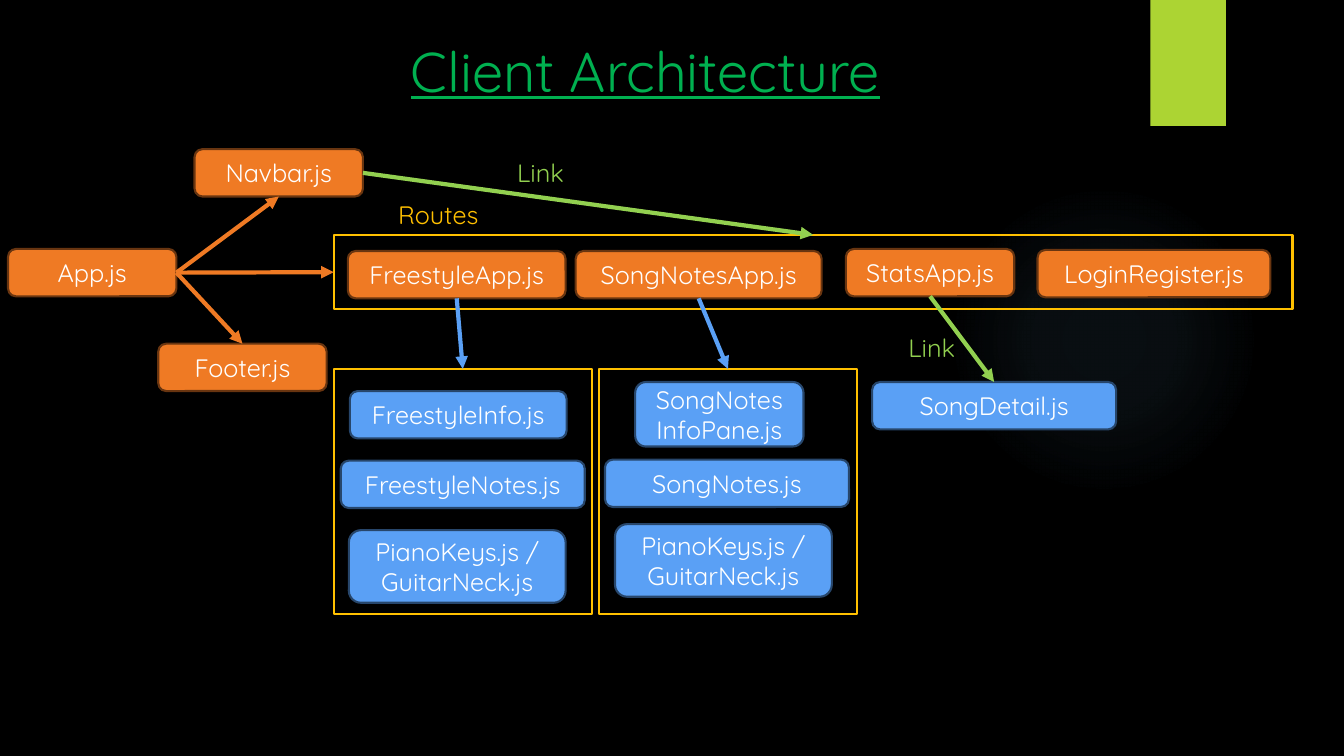
from lxml import etree
from pptx import Presentation
from pptx.dml.color import RGBColor
from pptx.enum.shapes import MSO_CONNECTOR, MSO_SHAPE
from pptx.enum.text import MSO_ANCHOR, PP_ALIGN
from pptx.oxml import parse_xml
from pptx.oxml.ns import nsdecls, qn
from pptx.util import Inches, Pt

BLACK = RGBColor(0x00, 0x00, 0x00)
WHITE = RGBColor(0xFF, 0xFF, 0xFF)
LIME = RGBColor(0xAC, 0xD4, 0x33)
ORANGE = RGBColor(0xEF, 0x7A, 0x24)
BROWN = RGBColor(0x69, 0x35, 0x10)
BLUE = RGBColor(0x5A, 0xA0, 0xF5)
NAVY = RGBColor(0x27, 0x46, 0x6B)
GOLD = RGBColor(0xFF, 0xC0, 0x00)
LIGHT_GREEN = RGBColor(0x92, 0xD0, 0x50)
GREEN = RGBColor(0x00, 0xB0, 0x50)
FONT = "Quicksand"
TOP, LEFT, BOTTOM, RIGHT = range(4)  # connection sites

prs = Presentation()
prs.slide_width, prs.slide_height = Inches(13.33), Inches(7.5)
s = prs.slides.add_slide(prs.slide_layouts[6])
s.background.fill.solid()
s.background.fill.fore_color.rgb = BLACK


def add_box(preset, at, fill=None, line=None):
    """Add a preset shape without shadow; no colour means no fill or line."""
    sp = s.shapes.add_shape(preset, *map(Inches, at))
    sp.shadow.inherit = False
    if fill is None:
        sp.fill.background()
    else:
        sp.fill.solid()
        sp.fill.fore_color.rgb = fill
    if line is None:
        sp.line.fill.background()
    else:
        sp.line.color.rgb = line
        sp.line.width = Pt(1.5)
    return sp


def write(sp, text, color, size=18, align=PP_ALIGN.CENTER, underline=None):
    """Write one paragraph for each line of the text."""
    tf = sp.text_frame
    tf.word_wrap = True
    for i, words in enumerate(text.split("\n")):
        p = tf.paragraphs[0] if i == 0 else tf.add_paragraph()
        p.alignment = align
        r = p.add_run()
        r.text = words
        r.font.name, r.font.size = FONT, Pt(size)
        r.font.color.rgb = color
        r.font.underline = underline


# Background decoration: a faint round glow and the corner tab
glow = add_box(MSO_SHAPE.OVAL, (9.41, 1.83, 3.08, 3.08))
stops = "".join(
    f'<a:gs pos="{pos}000"><a:srgbClr val="7AC4F0"><a:alpha val="{alpha}000"/></a:srgbClr></a:gs>'
    for pos, alpha in ((0, 7), (36, 6), (69, 0)))
no_fill = glow.element.spPr.find(qn("a:noFill"))
no_fill.getparent().replace(no_fill, parse_xml(
    f'<a:gradFill {nsdecls("a")}><a:gsLst>{stops}</a:gsLst><a:path path="circle">'
    '<a:fillToRect l="50000" t="50000" r="50000" b="50000"/></a:path></a:gradFill>'))
add_box(MSO_SHAPE.RECTANGLE, (11.41, 0, 0.75, 1.25), LIME)

# Frames around the routes and the two component groups
nodes = {}
for name, at in (
    ("routes", (3.31, 2.33, 9.51, 0.74)),
    ("freestyle group", (3.31, 3.66, 2.56, 2.43)),
    ("song notes group", (5.94, 3.66, 2.56, 2.43)),
):
    nodes[name] = add_box(MSO_SHAPE.RECTANGLE, at, line=GOLD)

# Components: text, left, top, width, height
orange_boxes = (
    ("App.js", 0.08, 2.47, 1.67, 0.47),
    ("Navbar.js", 1.93, 1.48, 1.67, 0.47),
    ("Footer.js", 1.57, 3.41, 1.67, 0.47),
    ("FreestyleApp.js", 3.45, 2.49, 2.16, 0.47),
    ("SongNotesApp.js", 5.71, 2.49, 2.44, 0.47),
    ("StatsApp.js", 8.39, 2.47, 1.67, 0.47),
    ("LoginRegister.js", 10.29, 2.48, 2.31, 0.47),
)
blue_boxes = (
    ("FreestyleInfo.js", 3.47, 3.88, 2.15, 0.47),
    ("FreestyleNotes.js", 3.38, 4.57, 2.42, 0.47),
    ("PianoKeys.js /\nGuitarNeck.js", 3.46, 5.26, 2.15, 0.72),
    ("SongNotes InfoPane.js", 6.3, 3.79, 1.67, 0.64),
    ("SongNotes.js", 6, 4.56, 2.42, 0.47),
    ("PianoKeys.js /\nGuitarNeck.js", 6.1, 5.2, 2.15, 0.72),
    ("SongDetail.js", 8.65, 3.79, 2.42, 0.47),
)
for boxes, fill, line in ((orange_boxes, ORANGE, BROWN), (blue_boxes, BLUE, NAVY)):
    for text, *at in boxes:
        sp = add_box(MSO_SHAPE.ROUNDED_RECTANGLE, at, fill, line)
        sp.text_frame.vertical_anchor = MSO_ANCHOR.MIDDLE
        write(sp, text, WHITE)
        nodes[text] = sp

# Arrows glued to the shapes they join
for start, start_site, end, end_site, color in (
    ("App.js", RIGHT, "Navbar.js", BOTTOM, ORANGE),
    ("App.js", RIGHT, "routes", LEFT, ORANGE),
    ("App.js", RIGHT, "Footer.js", TOP, ORANGE),
    ("FreestyleApp.js", BOTTOM, "freestyle group", TOP, BLUE),
    ("SongNotesApp.js", BOTTOM, "song notes group", TOP, BLUE),
    ("StatsApp.js", BOTTOM, "SongDetail.js", TOP, LIGHT_GREEN),
    ("Navbar.js", RIGHT, "routes", TOP, LIGHT_GREEN),
):
    arrow = s.shapes.add_connector(MSO_CONNECTOR.STRAIGHT, 0, 0, 0, 0)
    arrow.begin_connect(nodes[start], start_site)
    arrow.end_connect(nodes[end], end_site)
    arrow.line.color.rgb = color
    arrow.line.width = Pt(3)
    spPr = arrow.element.spPr
    etree.SubElement(spPr.find(qn("a:ln")), qn("a:tailEnd"), type="triangle")
    etree.SubElement(spPr, qn("a:effectLst"))

# Labels and title
for text, left, top, color in (
    ("Routes", 3.85, 1.93, GOLD),
    ("Link", 8.91, 3.25, LIGHT_GREEN),
    ("Link", 5.03, 1.51, LIGHT_GREEN),
):
    label = s.shapes.add_textbox(Inches(left), Inches(top), Inches(1.15), Inches(0.4))
    write(label, text, color, align=PP_ALIGN.LEFT)
title = s.shapes.add_textbox(Inches(3.45), Inches(0.31), Inches(5.9), Inches(0.77))
write(title, "Client Architecture", GREEN, size=40, underline=True)

prs.save("out.pptx")
